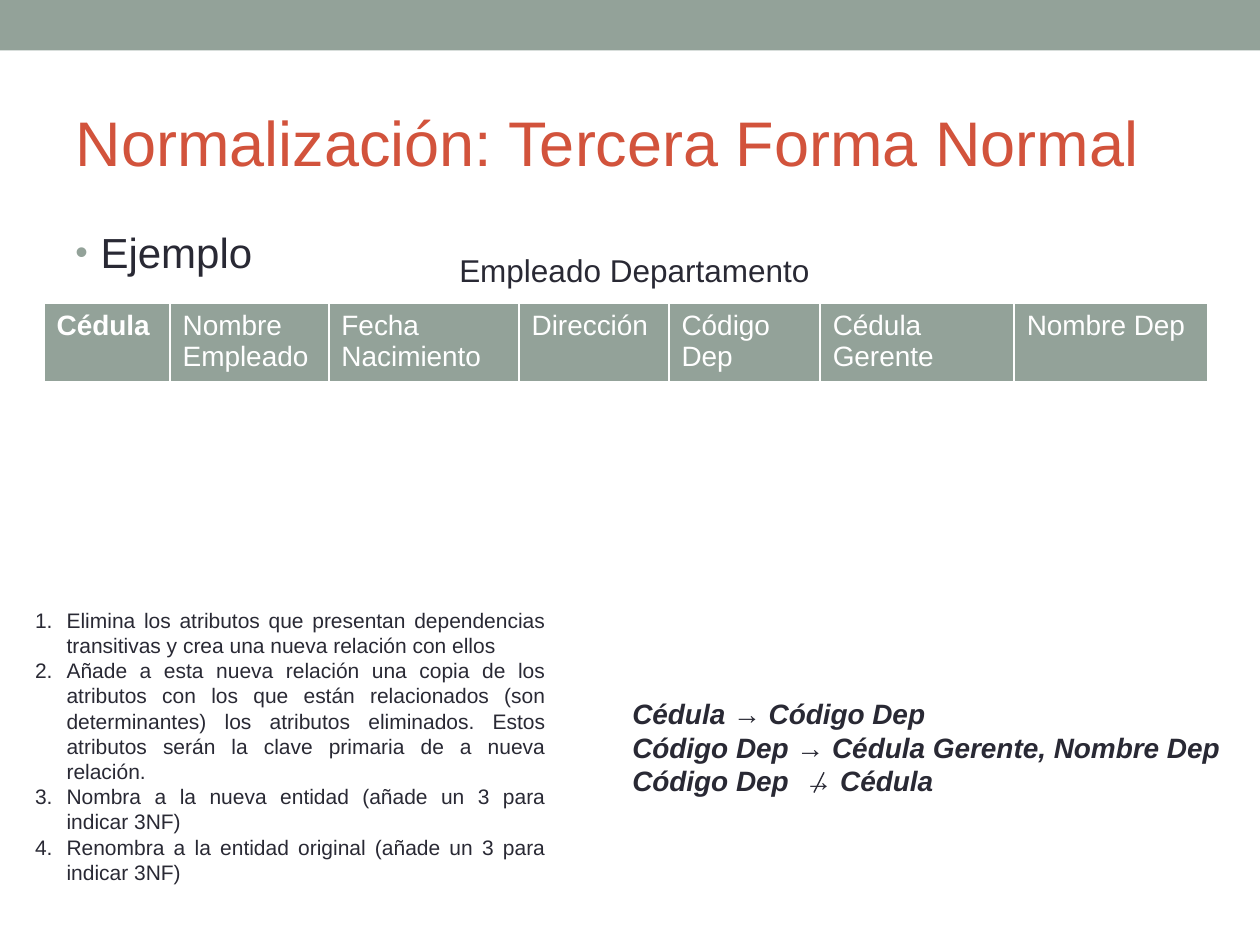
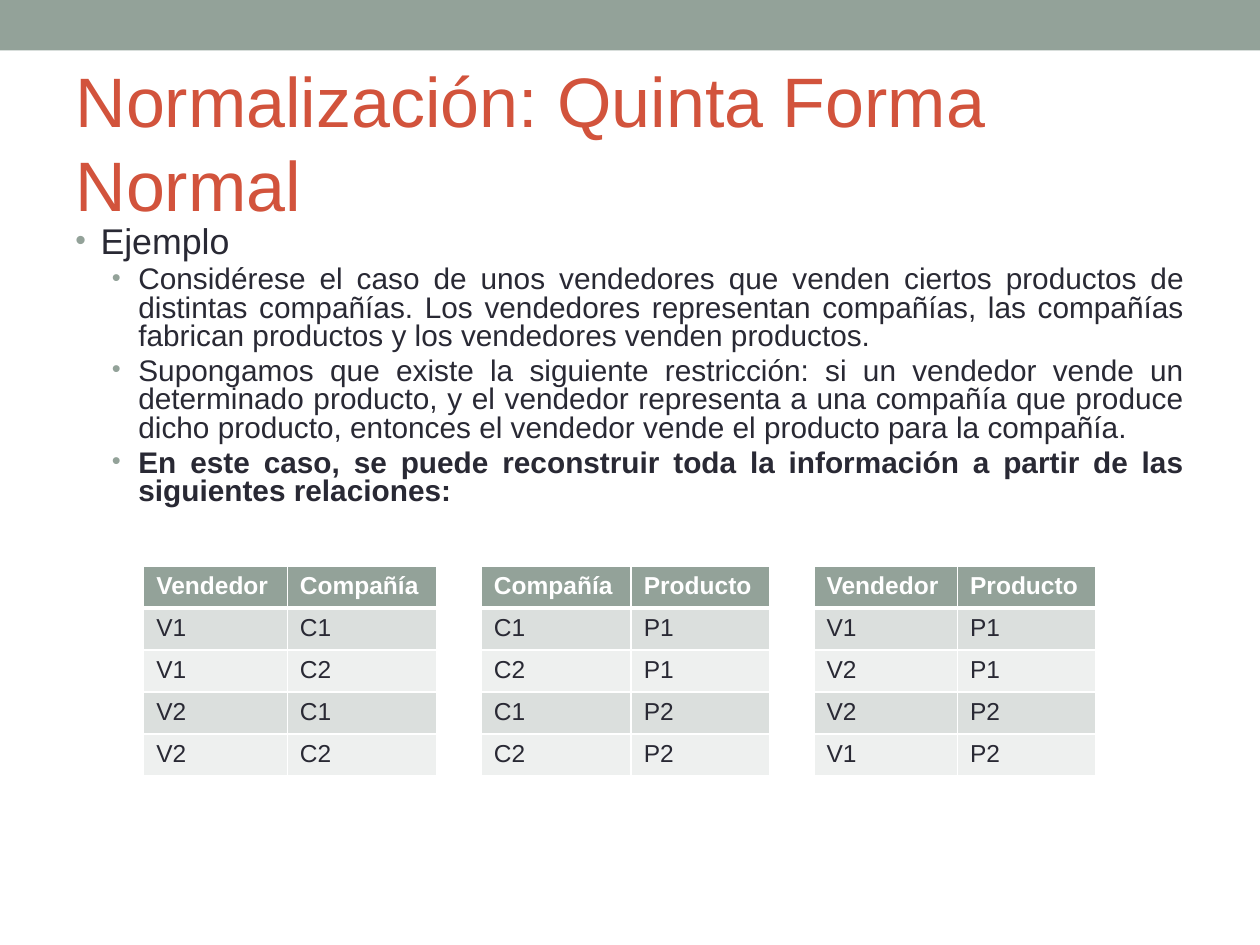
from dataclasses import dataclass

from lxml import etree
from pptx import Presentation
from pptx.dml.color import RGBColor
from pptx.enum.shapes import MSO_CONNECTOR, MSO_SHAPE
from pptx.enum.text import MSO_ANCHOR, MSO_AUTO_SIZE, PP_ALIGN
from pptx.oxml.ns import qn
from pptx.util import Inches, Pt

LEFT, CENTER, JUSTIFY = PP_ALIGN.LEFT, PP_ALIGN.CENTER, PP_ALIGN.JUSTIFY
MIDDLE, NO_FIT = MSO_ANCHOR.MIDDLE, MSO_AUTO_SIZE.NONE
RECT, STRAIGHT = MSO_SHAPE.RECTANGLE, MSO_CONNECTOR.STRAIGHT
TITLE_ONLY = 5
COLS, ROWS = 100, 75


@dataclass(frozen=True)
class Theme:
    font: str = "Arial"
    sage: str = "93A299"
    red: str = "D2533C"
    ink: str = "292934"
    white: str = "FFFFFF"
    stripes: tuple = ("DBDFDD", "EEF0EF")
    title: float = 36
    title_large: float = 40
    lead: float = 24
    lead_tight: float = 20.4
    caption: float = 18
    detail: float = 17
    formula: float = 16
    cell: float = 14
    steps: float = 12
    rule: float = 1
    header_rule: float = 3


def rgb(color):
    return RGBColor.from_string(color)


class Deck:
    def __init__(self, theme):
        self.theme = theme
        self.prs = Presentation()
        self.prs.slide_width, self.prs.slide_height = Inches(10), Inches(7.5)
        self.layout = self.prs.slide_layouts[TITLE_ONLY]
        self.slide = None

    # Grid
    def x(self, cols):
        return round(self.prs.slide_width * cols / COLS)

    def y(self, rows):
        return round(self.prs.slide_height * rows / ROWS)

    def box(self, left, top, width, height):
        return self.x(left), self.y(top), self.x(width), self.y(height)

    # Slide with title; the band is placed once, on the layout
    def new_slide(self, title, size):
        first = self.slide is None
        self.slide = self.prs.slides.add_slide(self.layout)
        if first:
            self.band()
        sp = self.slide.shapes.title
        sp.left, sp.top, sp.width, sp.height = self.box(5, 5.8, 90, 10.8)
        tf = sp.text_frame
        tf.word_wrap, tf.auto_size, tf.vertical_anchor = True, NO_FIT, MIDDLE
        p = tf.paragraphs[0]
        p.alignment = LEFT
        self.run(p, title, size, self.theme.red)

    def band(self):
        sp = self.slide.shapes.add_shape(RECT, *self.box(0, 0, 100, 4))
        sp.shadow.inherit = False
        sp.fill.solid()
        sp.fill.fore_color.rgb = rgb(self.theme.sage)
        sp.line.fill.background()
        self.layout.element.cSld.spTree.insert(2, sp.element)

    # Text
    def run(self, p, text, size, color=None, bold=False, italic=False):
        r = p.add_run()
        r.text = text
        f = r.font
        f.name, f.size, f.bold, f.italic = self.theme.font, Pt(size), bold, italic
        f.color.rgb = rgb(color or self.theme.ink)
        return r

    def text_box(self, *place):
        tf = self.slide.shapes.add_textbox(*self.box(*place)).text_frame
        tf.word_wrap = True
        return tf

    def paragraph(self, tf, text="", size=None, align=LEFT, bold=False):
        p = tf.paragraphs[0]
        if p.runs:
            p = tf.add_paragraph()
        p.alignment = align
        if text:
            self.run(p, text, size, bold=bold)
        return p

    def mark(self, p, indent, hanging, color, tag, scale=100, **attributes):
        pPr = p._p.get_or_add_pPr()
        pPr.set("marL", str(self.x(indent)))
        pPr.set("indent", str(-self.x(hanging)))
        clr = etree.SubElement(pPr, qn("a:buClr"))
        etree.SubElement(clr, qn("a:srgbClr"), val=color)
        etree.SubElement(pPr, qn("a:buSzPct"), val=str(scale * 1000))
        etree.SubElement(pPr, qn("a:buFont"), typeface=self.theme.font)
        etree.SubElement(pPr, qn(tag), **attributes)

    def bullet(self, tf, text, size, indent=2, hanging=2, bold=False):
        p = self.paragraph(tf, text, size, JUSTIFY, bold)
        self.mark(p, indent, hanging, self.theme.sage, "a:buChar", 85, char="•")
        return p

    def numbered(self, tf, text):
        p = self.paragraph(tf, text, self.theme.steps, JUSTIFY)
        self.mark(p, 2.5, 2.5, self.theme.ink, "a:buAutoNum", type="arabicPeriod")

    # Line
    def line(self, x1, y1, x2, y2):
        c = self.slide.shapes.add_connector(
            STRAIGHT, self.x(x1), self.y(y1), self.x(x2), self.y(y2))
        c.line.color.rgb = rgb(self.theme.ink)
        c.line.width = Pt(0.75)
        etree.SubElement(c._element.spPr, qn("a:effectLst"))

    # Table
    def border(self, cell, **widths):
        tcPr = cell._tc.get_or_add_tcPr()
        for side in "LRTB":
            width = widths.get(side, self.theme.rule)
            ln = etree.SubElement(tcPr, qn("a:ln" + side), w=str(Pt(width)))
            fill = etree.SubElement(ln, qn("a:solidFill"))
            etree.SubElement(fill, qn("a:srgbClr"), val=self.theme.white)

    def table(self, left, top, widths, row_height, rows, size, bold_columns):
        t = self.theme
        place = self.box(left, top, sum(widths), row_height * len(rows))
        table = self.slide.shapes.add_table(len(rows), len(widths), *place).table
        table.horz_banding = False
        for column, width in zip(table.columns, widths):
            column.width = self.x(width)
        for i, row in enumerate(rows):
            header = i == 0
            for j, text in enumerate(row):
                cell = table.cell(i, j)
                self.border(cell, T=t.header_rule if i == 1 else t.rule,
                            B=t.header_rule if header else t.rule)
                cell.fill.solid()
                cell.fill.fore_color.rgb = rgb(
                    t.sage if header else t.stripes[(i - 1) % 2])
                self.run(cell.text_frame.paragraphs[0], text, size,
                         t.white if header else t.ink,
                         bold=header and j < bold_columns)


def third_normal_form(deck):
    t = deck.theme
    deck.new_slide("Normalización: Tercera Forma Normal", t.title)
    deck.bullet(deck.text_box(5, 17.5, 90, 53.3), "Ejemplo", t.lead)

    # Relation to normalise, with only its key in bold
    attributes = ["Cédula", "Nombre Empleado", "Fecha Nacimiento", "Dirección",
                  "Código Dep", "Cédula Gerente", "Nombre Dep"]
    deck.table(3.5, 24.1, [10, 12.6, 15.1, 11.9, 12, 15.4, 15.4], 5.6,
               [attributes], t.formula, bold_columns=1)
    deck.paragraph(deck.text_box(35, 19.4, 30.7, 4), "Empleado Departamento",
                   t.caption, CENTER)

    # Steps
    tf = deck.text_box(1.8, 47.7, 42.5, 25.2)
    for step in (
        "Elimina los atributos que presentan dependencias transitivas y crea "
        "una nueva relación con ellos",
        "Añade a esta nueva relación una copia de los atributos con los que "
        "están relacionados (son determinantes) los atributos eliminados. "
        "Estos atributos serán la clave primaria de a nueva relación.",
        "Nombra a la nueva entidad (añade un 3 para indicar 3NF)",
        "Renombra a la entidad original (añade un 3 para indicar 3NF)",
    ):
        deck.numbered(tf, step)

    # Dependencies; the last arrow is struck out and set a little apart
    tf = deck.text_box(49.2, 54.8, 50.4, 11.8)
    for source, target, gap in (
        ("Cédula", "Código Dep", 0),
        ("Código Dep", "Cédula Gerente, Nombre Dep", 0),
        ("Código Dep", "Cédula", 4.45),
    ):
        p = deck.paragraph(tf)
        for text, spacing in ((source, 0), (" ", gap), ("→ " + target, 0)):
            r = deck.run(p, text, t.formula, bold=True, italic=True)
            if spacing:
                r.font._element.set("spc", str(round(spacing * 100)))
    deck.line(64.6, 62.9, 65.4, 61.3)


def fifth_normal_form(deck):
    t = deck.theme
    deck.new_slide("Normalización: Quinta Forma Normal", t.title_large)

    # Explanation
    tf = deck.text_box(5, 17.5, 90, 24.7)
    deck.bullet(tf, "Ejemplo", t.lead_tight).line_spacing = 0.8
    for text, bold in (
        ("Considérese el caso de unos vendedores que venden ciertos productos "
         "de distintas compañías. Los vendedores representan compañías, las "
         "compañías fabrican productos y los vendedores venden productos.", False),
        ("Supongamos que existe la siguiente restricción: si un vendedor vende "
         "un determinado producto, y el vendedor representa a una compañía que "
         "produce dicho producto, entonces el vendedor vende el producto para "
         "la compañía.", False),
        ("En este caso, se puede reconstruir toda la información a partir de "
         "las siguientes relaciones:", True),
    ):
        p = deck.bullet(tf, text, t.detail, 5, 2.1, bold)
        p.line_spacing, p.space_before = 0.8, Pt(3.4)

    # Relations, side by side with equal gaps
    widths = {"Vendedor": 11.4, "Compañía": 11.9, "Producto": 11}
    left, gap = 11.4, 3.5
    for header, pairs in (
        (("Vendedor", "Compañía"), ("V1 C1", "V1 C2", "V2 C1", "V2 C2")),
        (("Compañía", "Producto"), ("C1 P1", "C2 P1", "C1 P2", "C2 P2")),
        (("Vendedor", "Producto"), ("V1 P1", "V2 P1", "V2 P2", "V1 P2")),
    ):
        columns = [widths[name] for name in header]
        rows = [header] + [pair.split() for pair in pairs]
        deck.table(left, 44.9, columns, 3.1, rows, t.cell, bold_columns=2)
        left += sum(columns) + gap


def main():
    deck = Deck(Theme())
    third_normal_form(deck)
    fifth_normal_form(deck)
    deck.prs.save("out.pptx")


if __name__ == "__main__":
    main()
